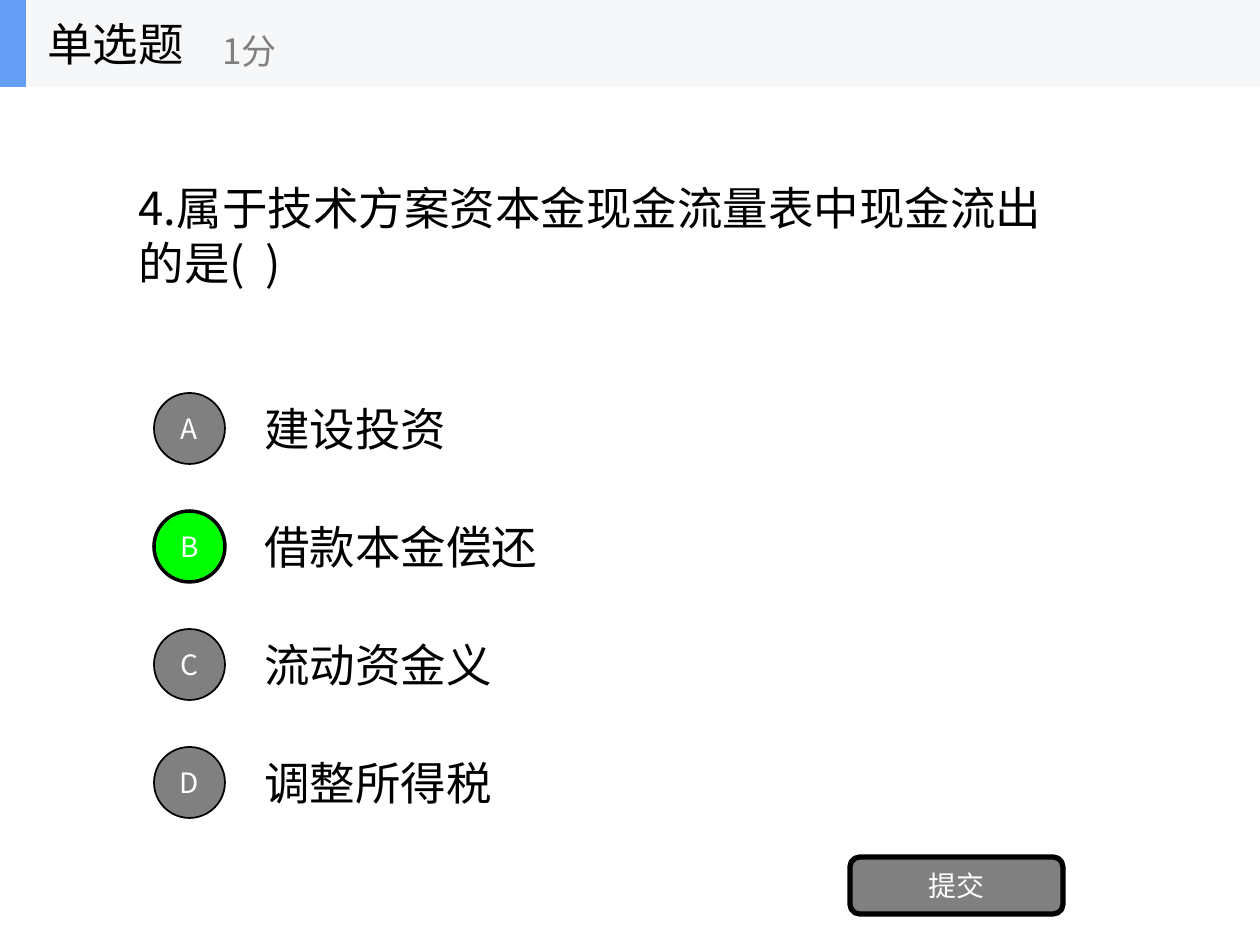
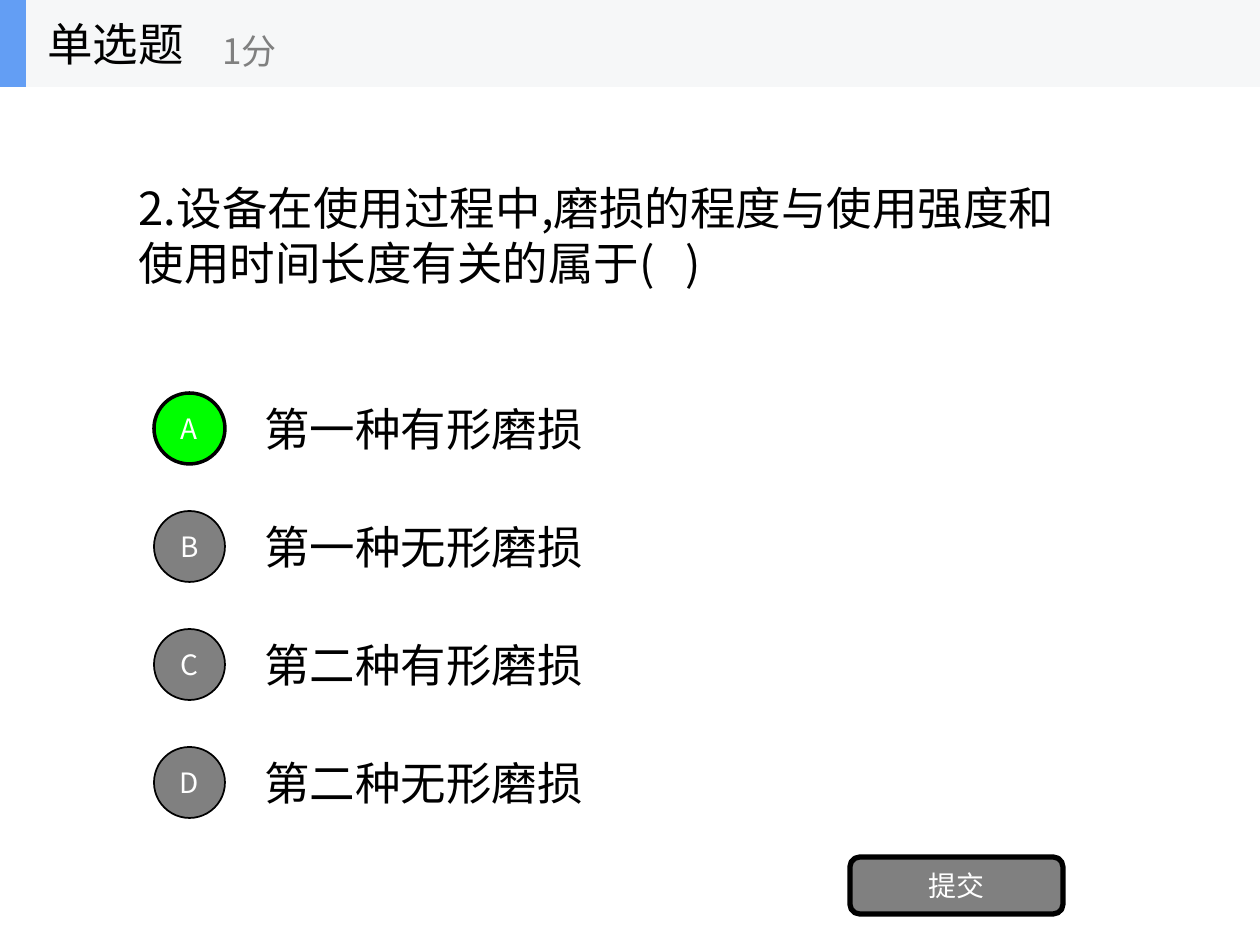
import pptx
import pptx.dml.color
import pptx.enum.shapes
import pptx.enum.text
import pptx.oxml.ns
import pptx.util
from lxml import etree

PX = 914400 // 126
FONT = "Noto Sans CJK SC"
COLORS = {
    "ink": "000000",
    "white": "FFFFFF",
    "grey": "808080",
    "correct": "00FF00",
    "band": "F6F7F8",
    "accent": "639EF4",
}
SHAPE = pptx.enum.shapes.MSO_SHAPE
ALIGN = pptx.enum.text.PP_ALIGN
QUESTIONS = [
    {
        "text": "4.属于技术方案资本金现金流量表中现金流出的是(  )",
        "width": 973,
        "answers": ["建设投资", "借款本金偿还", "流动资金义", "调整所得税"],
        "correct": "B",
    },
    {
        "text": "2.设备在使用过程中,磨损的程度与使用强度和使用时间长度有关的属于(   )",
        "width": 984,
        "answers": ["第一种有形磨损", "第一种无形磨损", "第二种有形磨损", "第二种无形磨损"],
        "correct": "A",
    },
]


def write(holder, text, size, color, align=ALIGN.LEFT):
    frame = holder.text_frame
    frame_format = {
        "word_wrap": True,
        "auto_size": pptx.enum.text.MSO_AUTO_SIZE.NONE,
        "vertical_anchor": pptx.enum.text.MSO_ANCHOR.MIDDLE,
    }
    for attribute, value in frame_format.items():
        setattr(frame, attribute, value)
    paragraph = frame.paragraphs[0]
    paragraph.alignment = align
    run = paragraph.add_run()
    run.text = text
    for attribute, value in {"name": FONT, "size": pptx.util.Pt(size)}.items():
        setattr(run.font, attribute, value)
    run.font.color.rgb = pptx.dml.color.RGBColor.from_string(COLORS[color])
    east_asian = etree.SubElement(run.font._element, pptx.oxml.ns.qn("a:ea"))
    east_asian.set("typeface", FONT)


def draw(shapes, preset, box, fill, line_width=0):
    shape = shapes.add_shape(preset, *[length * PX for length in box])
    shape.shadow.inherit = False
    shape.fill.solid()
    shape.fill.fore_color.rgb = pptx.dml.color.RGBColor.from_string(COLORS[fill])
    if line_width:
        shape.line.color.rgb = pptx.dml.color.RGBColor.from_string(COLORS["ink"])
        shape.line.width = pptx.util.Pt(line_width)
    else:
        shape.line.fill.background()
    return shape


deck = pptx.Presentation()
deck.slide_width = pptx.util.Inches(10)
deck.slide_height = pptx.util.Inches(7.5)

for question in QUESTIONS:
    slide = deck.slides.add_slide(deck.slide_layouts[5])
    title = slide.shapes.title
    title_box = {"left": 126, "top": 174, "width": question["width"], "height": 122}
    for side, length in title_box.items():
        setattr(title, side, length * PX)
    write(title, question["text"], 26, "ink")

    for row, (letter, answer) in enumerate(zip("ABCD", question["answers"])):
        top = 393 + row * 118
        answer_box = (252, top + 1, 38 + 91 * len(answer) // 2, 68)
        answer_text = slide.shapes.add_textbox(*[length * PX for length in answer_box])
        write(answer_text, answer, 26, "ink")
        fill, line_width = ("correct", 2) if letter == question["correct"] else ("grey", 1)
        bullet = draw(slide.shapes, SHAPE.OVAL, (154, top, 71, 71), fill, line_width)
        write(bullet, letter, 16, "white", ALIGN.CENTER)

    submit = draw(slide.shapes, SHAPE.ROUNDED_RECTANGLE, (850, 857, 213, 57), "grey", 3)
    submit.adjustments[0] = 0.17
    write(submit, "提交", 16, "white", ALIGN.CENTER)

    header = slide.shapes.add_group_shape().shapes
    draw(header, SHAPE.RECTANGLE, (0, 0, 1260, 87), "band")
    draw(header, SHAPE.RECTANGLE, (0, 0, 26, 87), "accent")
    for label, size, color, box in [
        ("单选题", 26, "ink", (35, 0, 262, 87)),
        ("1分", 20, "grey", (210, 15, 315, 71)),
    ]:
        write(header.add_textbox(*[length * PX for length in box]), label, size, color)

deck.save("out.pptx")
